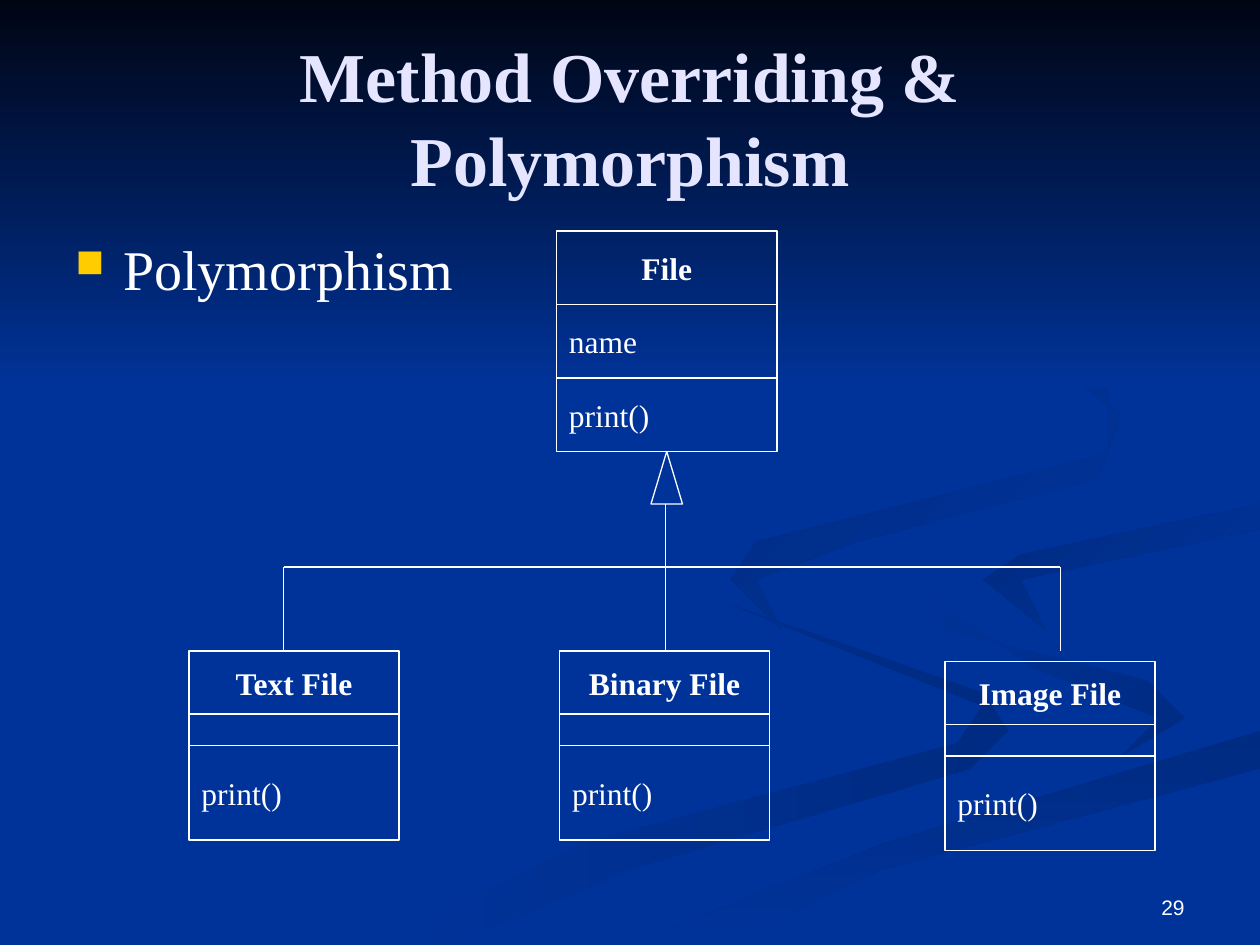
"""Build a slide with a class diagram of polymorphic file types."""
from lxml import etree
from pptx import Presentation
from pptx.dml.color import RGBColor
from pptx.enum.shapes import MSO_CONNECTOR, MSO_SHAPE
from pptx.enum.text import MSO_ANCHOR, PP_ALIGN
from pptx.oxml.ns import qn
from pptx.util import Inches, Pt

LEFT, CENTER, RIGHT = PP_ALIGN.LEFT, PP_ALIGN.CENTER, PP_ALIGN.RIGHT
TOP, MIDDLE, BOTTOM = MSO_ANCHOR.TOP, MSO_ANCHOR.MIDDLE, MSO_ANCHOR.BOTTOM
RECTANGLE, TRIANGLE = MSO_SHAPE.RECTANGLE, MSO_SHAPE.ISOSCELES_TRIANGLE
STRAIGHT = MSO_CONNECTOR.STRAIGHT
SERIF = "Times New Roman"
WHITE, BLUE, LAVENDER, GOLD = "FFFFFF", "003399", "E5E5FF", "FFCC00"
NIGHT, SHADE = "000514", "002B82"
UNIT = Inches(1) / 12


def rgb(value):
    return RGBColor.from_string(value)


def write(shape, text, size, align=LEFT, anchor=MIDDLE, bold=False, color=WHITE, font=SERIF):
    frame = shape.text_frame
    frame.word_wrap = True
    frame.vertical_anchor = anchor
    paragraph = frame.paragraphs[0]
    paragraph.text = text
    paragraph.alignment = align
    paragraph.font.size = Pt(size)
    paragraph.font.bold = bold
    paragraph.font.name = font
    paragraph.font.color.rgb = rgb(color)


prs = Presentation()
prs.slide_width, prs.slide_height = Inches(10), Inches(7.5)
slide = prs.slides.add_slide(prs.slide_layouts[6])
slide.background.fill.solid()
slide.background.fill.fore_color.rgb = rgb(BLUE)
shapes = slide.shapes

ribbons = [
    (BLUE, SHADE, 0, [(30, 75), (46, 67), (76, 59), (78, 56), (58, 48),
                      (78, 55), (80, 58), (77, 61), (50, 69), (36, 75)]),
    (BLUE, SHADE, 315, [(72, 46), (75, 50), (91, 54), (94, 57), (89, 60), (92, 57), (82, 53)]),
    (SHADE, BLUE, 270, [(50, 75), (57, 75), (70, 69), (100, 61), (100, 58), (70, 67)]),
    (SHADE, BLUE, 315, [(78, 46), (83, 50), (81, 46), (100, 42), (100, 40), (81, 44)]),
    (SHADE, BLUE, 315, [(76, 23), (88, 31), (88, 36), (60, 43), (58, 46), (62, 50),
                        (60, 46), (68, 43), (87, 38), (89, 33)]),
]
fades = []
for start, end, angle, outline in ribbons:
    builder = shapes.build_freeform(*outline[0], scale=Inches(0.1))
    builder.add_line_segments(outline[1:], close=True)
    fades.append((builder.convert_to_shape(), start, end, angle))
sky = shapes.add_shape(RECTANGLE, 0, 0, prs.slide_width, Inches(3.08))
fades.append((sky, NIGHT, BLUE, 270))
for band, start, end, angle in fades:
    band.shadow.inherit = False
    band.line.fill.background()
    band.fill.gradient()
    band.fill.gradient_angle = angle
    for stop, color in zip(band.fill.gradient_stops, (start, end)):
        stop.color.rgb = rgb(color)

topic = shapes.add_textbox(Inches(0.5), Inches(1.81), Inches(9), Inches(0.67))
properties = topic.text_frame.paragraphs[0]._p.get_or_add_pPr()
properties.set("marL", str(Inches(0.38)))
properties.set("indent", str(-Inches(0.38)))
bullet_color = etree.SubElement(properties, qn("a:buClr"))
etree.SubElement(bullet_color, qn("a:srgbClr"), val=GOLD)
etree.SubElement(properties, qn("a:buSzPct"), val="70000")
etree.SubElement(properties, qn("a:buChar"), char="■")
write(topic, "Polymorphism", 32, anchor=TOP)

title = shapes.add_textbox(Inches(0.5), Inches(0.3), Inches(9), Inches(1.25))
write(title, "Method Overriding & Polymorphism", 40, CENTER, bold=True, color=LAVENDER)

tall, short = (7, 7, 7), (6, 3, 9)
classes = [
    (53, 22, 21, tall, "File", "name"),
    (18, 62, 20, short, "Text File", ""),
    (53.3, 62, 20, short, "Binary File", ""),
    (90, 63, 20, short, "Image File", ""),
]
outlined = []
for column, row, width, heights, heading, attribute in classes:
    for height, member in zip(heights, (heading, attribute, "print()")):
        compartment = shapes.add_shape(
            RECTANGLE, *(int(n * UNIT) for n in (column, row, width, height)))
        outlined.append(compartment)
        if member:
            is_heading = member == heading
            write(compartment, member, 18, CENTER if is_heading else LEFT, bold=is_heading)
        row += height

outlined.append(shapes.add_shape(TRIANGLE, *(int(n * UNIT) for n in (62, 43, 3, 5))))
for shape in outlined:
    shape.shadow.inherit = False
    shape.fill.background()

branches = [(63.4, 48, 63.4, 62), (27, 62, 27, 54), (101, 62, 101, 54), (27, 54, 101, 54)]
for ends in branches:
    branch = shapes.add_connector(STRAIGHT, *(int(n * UNIT) for n in ends))
    etree.SubElement(branch._element.spPr, qn("a:effectLst"))
    outlined.append(branch)
for shape in outlined:
    shape.line.color.rgb = rgb(WHITE)
    shape.line.width = Pt(0.75)

page = shapes.add_textbox(*(int(n * UNIT) for n in (86, 82, 28, 6.2)))
write(page, "29", 12, RIGHT, BOTTOM, font="Arial")

prs.save("out.pptx")
